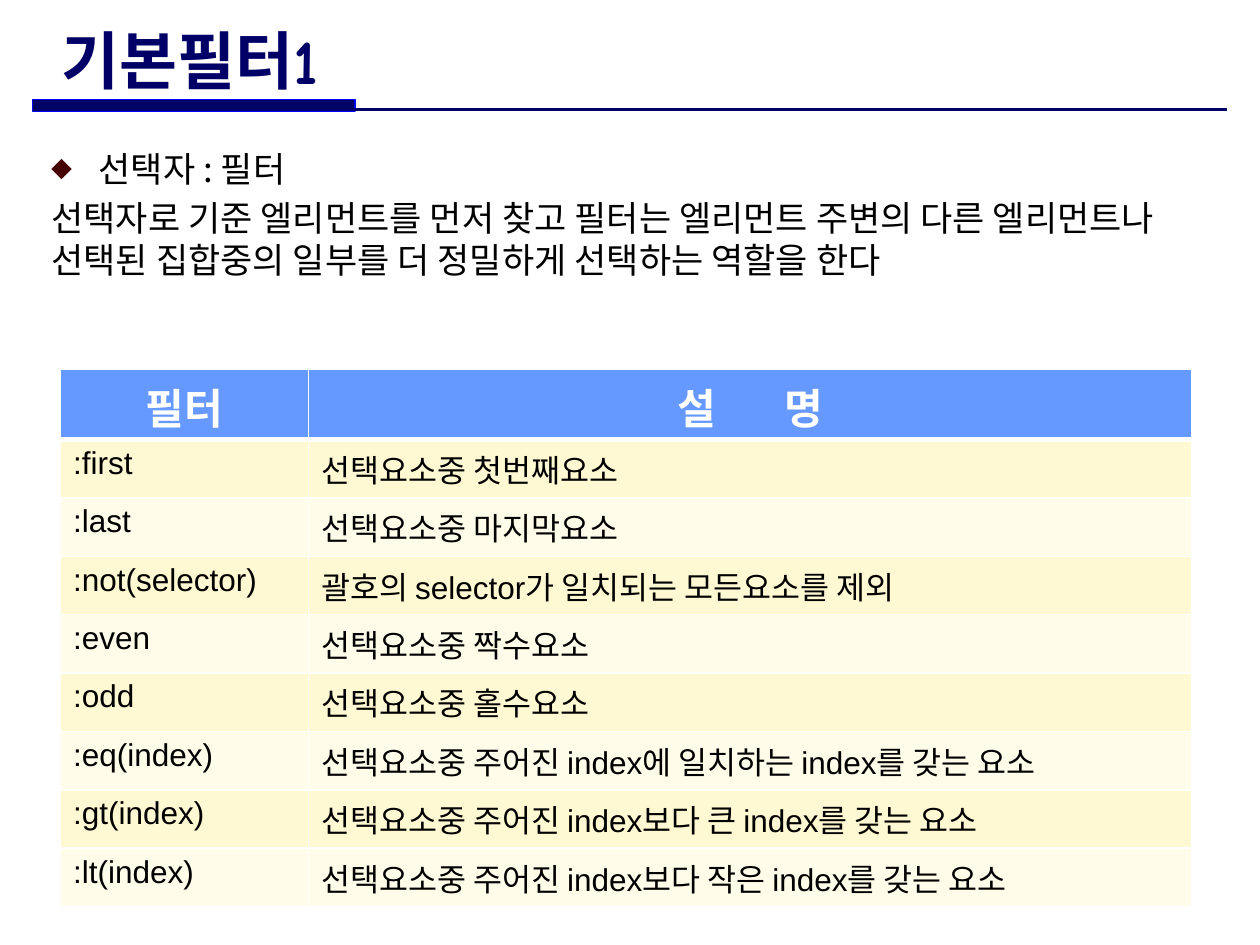
from lxml import etree
from pptx import Presentation, util as u
from pptx.dml.color import RGBColor
from pptx.enum import shapes, text
from pptx.oxml import ns

NAVY = "000066"
KOREAN = "Noto Sans CJK KR"
FILTERS = [
    (":first", "선택요소중 첫번째요소"),
    (":last", "선택요소중 마지막요소"),
    (":not(selector)", "괄호의 selector가 일치되는 모든요소를 제외"),
    (":even", "선택요소중 짝수요소"),
    (":odd", "선택요소중 홀수요소"),
    (":eq(index)", "선택요소중 주어진 index에 일치하는 index를 갖는 요소"),
    (":gt(index)", "선택요소중 주어진 index보다 큰 index를 갖는 요소"),
    (":lt(index)", "선택요소중 주어진 index보다 작은 index를 갖는 요소"),
]


def color(value):
    return RGBColor.from_string(value)


def add_xml(parent, tag, **attributes):
    return etree.SubElement(parent, ns.qn(tag), **attributes)


def add_span(para, words, size=20, font=KOREAN, ink="000000", bold=False, spacing=0):
    span = para.add_run()
    span.text = words
    span.font.size = u.Pt(size)
    span.font.name = font
    span.font.bold = bold
    span.font.color.rgb = color(ink)
    properties = span.font._element
    add_xml(properties, "a:ea", typeface=KOREAN)
    if spacing:
        properties.set("spc", str(spacing * 100))


def add_bullet(para, mark, ink, indent):
    properties = para._p.get_or_add_pPr()
    properties.set("marL", str(indent))
    properties.set("indent", str(-indent))
    add_xml(add_xml(properties, "a:buClr"), "a:srgbClr", val=ink)
    add_xml(properties, "a:buSzPct", val="60000")
    add_xml(properties, "a:buFont", typeface=KOREAN)
    add_xml(properties, "a:buChar", char=mark)


def add_box(page, left, top, width, height):
    box = page.shapes.add_textbox(u.Cm(left), u.Cm(top), u.Cm(width), u.Cm(height))
    box.text_frame.word_wrap = True
    return box.text_frame


def add_heading(page, left, top, width, height):
    bar_top = top + height - 0.23
    bar = page.shapes.add_shape(shapes.MSO_SHAPE.RECTANGLE, u.Cm(left), u.Cm(bar_top),
                                u.Cm(6.5), u.Cm(0.23))
    bar.shadow.inherit = False
    bar.fill.solid()
    bar.fill.fore_color.rgb = color(NAVY)
    bar.line.color.rgb = color("0000FF")
    bar.line.width = u.Pt(0.75)

    rule_y = u.Cm(top + height - 0.03)
    rule = page.shapes.add_connector(shapes.MSO_CONNECTOR.STRAIGHT, u.Cm(left), rule_y,
                                     u.Cm(left + width), rule_y)
    rule.line.color.rgb = color(NAVY)
    rule.line.width = u.Pt(1.5)
    add_xml(rule._element.spPr, "a:effectLst")

    frame = add_box(page, left + 0.33, top, 17.25, 1.32)
    frame.vertical_anchor = text.MSO_ANCHOR.MIDDLE
    add_span(frame.paragraphs[0], "기본필터1", size=36, font="Comic Neue", ink=NAVY, bold=True)


def add_summary(page, left, top, width, height):
    frame = add_box(page, left, top, width, height)
    topic, detail = frame.paragraphs[0], frame.add_paragraph()
    for para in (topic, detail):
        para.space_before = u.Pt(4)
    add_bullet(topic, "◆", "460000", u.Cm(0.95))
    add_span(topic, "선택자 : 필터")
    add_span(detail, "선택자로 기준 엘리먼트를 먼저 찾고 필터는 엘리먼트 주변의 다른 엘리먼트나 "
                     "선택된 집합중의 일부를 더 정밀하게 선택하는 역할을 한다")


def style_cell(cell, fill, bottom=1, top=1):
    properties = cell._tc.get_or_add_tcPr()
    for side, points in (("L", 1), ("R", 1), ("T", top), ("B", bottom)):
        border = add_xml(properties, f"a:ln{side}", w=str(u.Pt(points)))
        add_xml(add_xml(border, "a:solidFill"), "a:srgbClr", val="FFFFFF")
    cell.fill.solid()
    cell.fill.fore_color.rgb = color(fill)


def add_filter_table(page, left, top, width, height):
    header_height, name_width = 1.42, 5
    row_height = (height - header_height) / len(FILTERS)
    table = page.shapes.add_table(len(FILTERS) + 1, 2, u.Cm(left), u.Cm(top),
                                  u.Cm(width), u.Cm(height)).table
    table.columns[0].width = u.Cm(name_width)
    table.columns[1].width = u.Cm(width - name_width)
    table.rows[0].height = u.Cm(header_height)

    headings = [[("필터", 0)], [("설 ", 17), ("명", 0)]]
    for column, pieces in enumerate(headings):
        cell = table.cell(0, column)
        style_cell(cell, "6699FF", bottom=3)
        para = cell.text_frame.paragraphs[0]
        para.alignment = text.PP_ALIGN.CENTER
        for words, spacing in pieces:
            add_span(para, words, size=24, font="Arial", ink="FFFFFF", bold=True, spacing=spacing)

    for row, entry in enumerate(FILTERS, 1):
        table.rows[row].height = u.Cm(row_height)
        for column, words in enumerate(entry):
            cell = table.cell(row, column)
            style_cell(cell, "FFF9D3" if row % 2 else "FFFCEA", top=3 if row == 1 else 1)
            add_span(cell.text_frame.paragraphs[0], words, size=18, font="Arial")


def main():
    deck = Presentation()
    deck.slide_width, deck.slide_height = u.Cm(25.4), u.Cm(19.05)
    page = deck.slides.add_slide(deck.slide_layouts[6])
    add_heading(page, 0.66, 0.53, 24.08, 1.71)
    add_summary(page, 0.79, 2.84, 23.95, 15.27)
    add_filter_table(page, 1.22, 7.44, 22.81, 10.84)
    deck.save("out.pptx")


if __name__ == "__main__":
    main()
